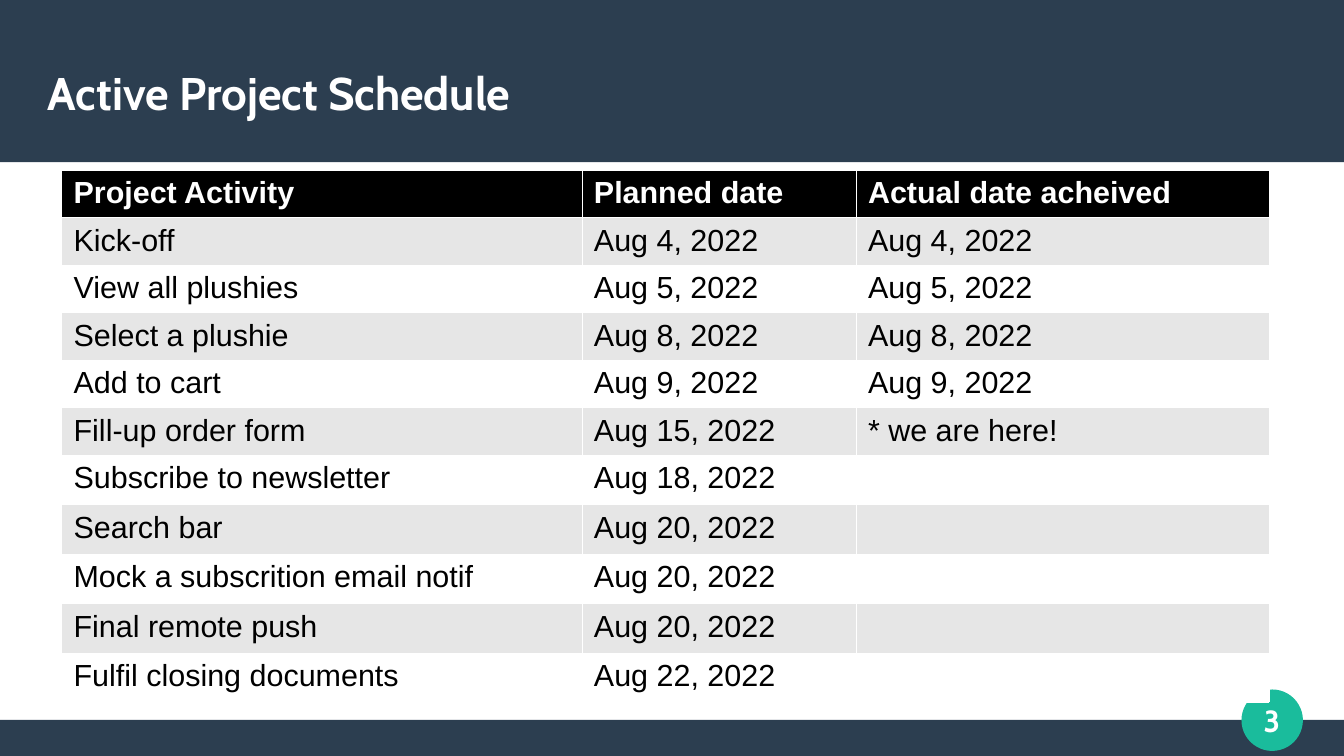
from dataclasses import dataclass

from lxml import etree
from pptx import Presentation
from pptx.dml.color import RGBColor
from pptx.enum.shapes import MSO_SHAPE
from pptx.enum.text import MSO_ANCHOR, MSO_AUTO_SIZE, PP_ALIGN
from pptx.oxml.ns import qn
from pptx.util import Cm, Pt

RECTANGLE, OVAL = MSO_SHAPE.RECTANGLE, MSO_SHAPE.OVAL
LEFT, CENTER = PP_ALIGN.LEFT, PP_ALIGN.CENTER
MIDDLE = MSO_ANCHOR.MIDDLE
NO_AUTOFIT = MSO_AUTO_SIZE.NONE
TITLE_ONLY = 5
PAGE_WIDTH, PAGE_HEIGHT = 28, 15.75

HEADINGS = ("Project Activity", "Planned date", "Actual date acheived")
ACTIVITIES = [
    ("Kick-off", "Aug 4, 2022", "Aug 4, 2022"),
    ("View all plushies", "Aug 5, 2022", "Aug 5, 2022"),
    ("Select a plushie", "Aug 8, 2022", "Aug 8, 2022"),
    ("Add to cart", "Aug 9, 2022", "Aug 9, 2022"),
    ("Fill-up order form", "Aug 15, 2022", "* we are here!"),
    ("Subscribe to newsletter", "Aug 18, 2022", ""),
    ("Search bar", "Aug 20, 2022", ""),
    ("Mock a subscrition email notif", "Aug 20, 2022", ""),
    ("Final remote push", "Aug 20, 2022", ""),
    ("Fulfil closing documents", "Aug 22, 2022", ""),
]


@dataclass(frozen=True)
class Theme:
    """Colours, fonts and sizes of the deck."""
    navy: str = "2C3E50"
    green: str = "1ABC9C"
    white: str = "FFFFFF"
    black: str = "000000"
    stripe: str = "E6E6E6"
    heading_font: str = "Cabin"
    body_font: str = "Arial"
    title_size: float = 27
    body_size: float = 18
    outline: float = 0.85
    border: float = 0.06


def write_text(frame, text, *, font, size, color, bold=False, align=LEFT, spacing=None):
    """Put one formatted paragraph into a text frame."""
    para = frame.paragraphs[0]
    para.alignment = align
    if spacing:
        para.line_spacing = spacing
    para.font.size = Pt(size)
    if text:
        span = para.add_run()
        span.text = text
        span.font.name = font
        span.font.size = Pt(size)
        span.font.bold = bold
        span.font.color.rgb = RGBColor.from_string(color)


def clear_insets(frame):
    """Centre a frame vertically, with wrapping and no margins."""
    frame.word_wrap = True
    frame.auto_size = NO_AUTOFIT
    frame.vertical_anchor = MIDDLE
    frame.margin_left = frame.margin_right = 0
    frame.margin_top = frame.margin_bottom = 0


def set_borders(cell, color, width):
    """Draw the same thin line on all sides of a table cell."""
    properties = cell._tc.get_or_add_tcPr()
    for position, side in enumerate(("a:lnL", "a:lnR", "a:lnT", "a:lnB")):
        line = etree.Element(qn(side), w=str(int(Pt(width))))
        fill = etree.SubElement(line, qn("a:solidFill"))
        etree.SubElement(fill, qn("a:srgbClr"), val=color)
        properties.insert(position, line)


class SlideBuilder:
    """Adds styled elements to one slide; lengths are in centimetres."""

    def __init__(self, page, theme):
        """Keep the slide and its style."""
        self.page = page
        self.theme = theme

    def shape(self, kind, left, top, width, height, color, outline=None):
        """Add a flat preset shape, outlined in its own colour if asked."""
        box = self.page.shapes.add_shape(kind, Cm(left), Cm(top), Cm(width), Cm(height))
        box.shadow.inherit = False
        box.fill.solid()
        box.fill.fore_color.rgb = RGBColor.from_string(color)
        if outline:
            box.line.color.rgb = RGBColor.from_string(color)
            box.line.width = Pt(outline)
        else:
            box.line.fill.background()

    def title(self, text, left, top, width, height):
        """Place the title placeholder above the elements drawn so far."""
        box = self.page.shapes.title
        box.left, box.top, box.width, box.height = Cm(left), Cm(top), Cm(width), Cm(height)
        box.element.getparent().append(box.element)
        clear_insets(box.text_frame)
        write_text(box.text_frame, text, font=self.theme.heading_font,
                   size=self.theme.title_size, color=self.theme.white,
                   bold=True, spacing=1.5)

    def label(self, text, left, top, width, height):
        """Add a centred bold white text box."""
        box = self.page.shapes.add_textbox(Cm(left), Cm(top), Cm(width), Cm(height))
        clear_insets(box.text_frame)
        write_text(box.text_frame, text, font=self.theme.heading_font,
                   size=self.theme.body_size, color=self.theme.white,
                   bold=True, align=CENTER)

    def table(self, rows, left, top, widths, row_height):
        """Add a table with a black heading row and striped body rows."""
        theme = self.theme
        grid = self.page.shapes.add_table(
            len(rows), len(widths), Cm(left), Cm(top),
            Cm(sum(widths)), Cm(row_height * len(rows))).table
        for column, width in zip(grid.columns, widths):
            column.width = Cm(width)
        for index, values in enumerate(rows):
            grid.rows[index].height = Cm(row_height)
            heading = index == 0
            stripe = theme.stripe if index % 2 else theme.white
            for cell, text in zip(grid.rows[index].cells, values):
                cell.fill.solid()
                cell.fill.fore_color.rgb = RGBColor.from_string(
                    theme.black if heading else stripe)
                set_borders(cell, theme.white, theme.border)
                write_text(cell.text_frame, text, font=theme.body_font,
                           size=theme.body_size, bold=heading,
                           color=theme.white if heading else theme.black)


def main():
    """Build the schedule slide and save the deck."""
    deck = Presentation()
    deck.slide_width, deck.slide_height = Cm(PAGE_WIDTH), Cm(PAGE_HEIGHT)
    theme = Theme()
    page = deck.slides.add_slide(deck.slide_layouts[TITLE_ONLY])
    builder = SlideBuilder(page, theme)

    footer_height = 0.75
    builder.shape(RECTANGLE, 0, PAGE_HEIGHT - footer_height, PAGE_WIDTH, footer_height, theme.navy)
    builder.shape(RECTANGLE, 0, 0, PAGE_WIDTH, 3.38, theme.navy)
    builder.shape(OVAL, 25.88, 14.38, 1.25, 1.25, theme.green, theme.outline)
    builder.label("3", 25.5, 14.25, 2, 1.5)
    builder.title("Active Project Schedule", 1, 0.63, 26, 2)
    builder.table([HEADINGS, *ACTIVITIES], 1.28, 3.54, (10.84, 5.71, 8.6), 0.99)
    deck.save("out.pptx")


main()
